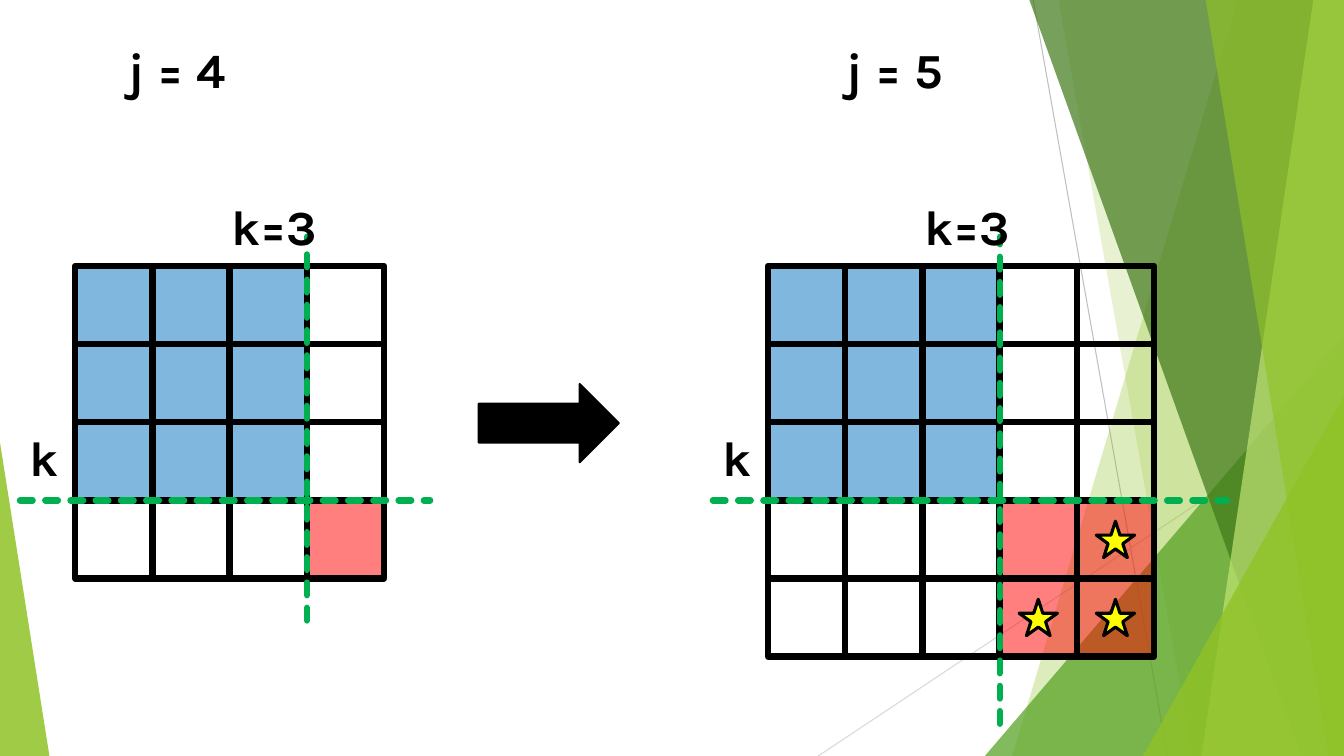
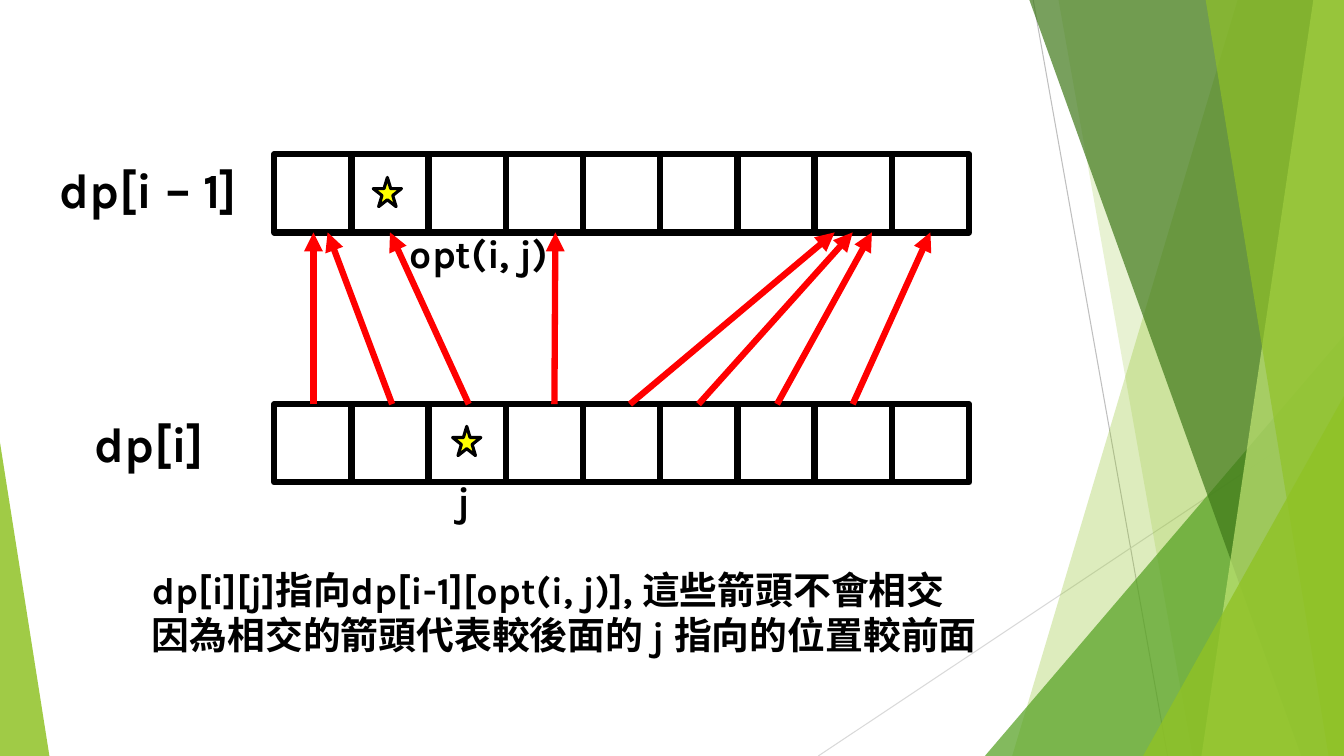
from lxml.etree import SubElement as Sub
from pptx import Presentation
from pptx.dml.color import RGBColor as Rgb
from pptx.enum.dml import MSO_LINE as Dash
from pptx.enum.shapes import MSO_CONNECTOR as Con, MSO_SHAPE as Kind
from pptx.oxml.ns import qn
from pptx.util import Pt

THEME = {
    "font": "Karla", "big": 35, "mid": 28, "note": 27,
    "black": "000000", "blue": "0070C0", "red": "FF0000",
    "green": "00B050", "yellow": "FFFF00",
    "lime": "90C226", "leaf": "54A021", "moss": "3F7819", "pale": "C0E474",
    "gray": "BFBFBF", "mist": "D9D9D9",
    "heavy": 4.5, "edge": 2.25, "thin": 1.5, "hair": 0.75,
}
WIDE, HIGH = 960, 540
CELL_W, CELL_H = 55.15, 55.8

RAYS = [(738, 0, 834, HIGH, "gray"), (WIDE, 290, 584.5, HIGH, "mist")]
BANDS = [
    ("free", (884.2, 723), "lime", 30),
    ("free", (756, 851.8), "lime", 20),
    ("tri", (703.5, 239.8, 256.5, 300.2, 1), "leaf", 72),
    ("free", (735.1, 929.5), "moss", 70),
    ("free", (938.2, 858.2), "pale", 70),
    ("free", (861.1, 949), "lime", 65),
    ("tri", (816.5, 283, 143.5, 257, 1), "lime", 80),
    ("tri", (0, 316.1, 35.3, 223.9, 0), "lime", 85),
]

GRID_TOP, SPLIT = 190, 3
PANELS = [
    {"title": "j = 4", "at": 85, "left": 53.7, "size": 4,
     "over": (33, 30), "stars": []},
    {"title": "j = 5", "at": 597.6, "left": 548.6, "size": 5,
     "over": (52, 48), "stars": [(3, 4), (4, 4), (4, 3)]},
]

ROW_LEFT, ROW_LEN = 195.9, 9
ROW_TOPS = 110.2, 288.7
LINKS = [(223.9, 223.9), (280.1, 234), (334.8, 278.6), (396, 396.7),
         (450, 596.2), (499, 609.1), (555.1, 622.8), (609.1, 664.6)]
MARKS = [(333.4, 315), (276.7, 137.2)]
LABELS = [
    ("dp[i – 1]", 35.3, 110.2, 184, 50, "big"),
    ("dp[i]", 60.5, 291.6, 184, 50, "big"),
    ("j", 319.7, 337, 24, 41, "mid"),
    ("opt(i, j)", 285.8, 160.6, 128, 41, "mid"),
    ("dp[i][j]指向dp[i-1][opt(i, j)], 這些箭頭不會相交\n"
     "因為相交的箭頭代表較後面的 j 指向的位置較前面",
     101.5, 401, 631, 75, "note"),
]


def hue(name):
    return Rgb.from_string(THEME[name])


def apply(obj, vals):
    for key, val in vals.items():
        setattr(obj, key, val)


def paint(shape, fill=None, alpha=100, line=None):
    shape.shadow.inherit = False
    if fill:
        shape.fill.solid()
        shape.fill.fore_color.rgb = hue(fill)
        if alpha < 100:
            tint = shape.element.spPr.find(qn("a:solidFill"))[0]
            Sub(tint, qn("a:alpha"), val=str(alpha * 1000))
    else:
        shape.fill.background()
    if line:
        shape.line.color.rgb = hue("black")
        shape.line.width = Pt(THEME[line])
    else:
        shape.line.fill.background()


def draw(page, kind, x, y, w, h, **look):
    shape = page.shapes.add_shape(kind, Pt(x), Pt(y), Pt(w), Pt(h))
    paint(shape, **look)
    return shape


def star(page, x, y, w, h):
    draw(page, Kind.STAR_5_POINT, x - w / 2, y - h / 2, w, h,
         fill="yellow", line="edge")


def cell(page, x, y, fill=None):
    draw(page, Kind.RECTANGLE, x, y, CELL_W, CELL_H,
         fill=fill, alpha=50, line="heavy")


def rule(page, x1, y1, x2, y2, color, width="heavy", dash=None, head=False):
    line = page.shapes.add_connector(
        Con.STRAIGHT, Pt(x1), Pt(y1), Pt(x2), Pt(y2))
    line.line.color.rgb = hue(color)
    line.line.width = Pt(THEME[width])
    edge = line.get_or_add_ln()
    if dash:
        line.line.dash_style = dash
        edge.set("cap", "rnd")
    if head:
        Sub(edge, qn("a:tailEnd"), type="triangle")
    Sub(line.element.spPr, qn("a:effectLst"))


def label(page, text, x, y, w, h, size="big"):
    frame = page.shapes.add_textbox(Pt(x), Pt(y), Pt(w), Pt(h)).text_frame
    apply(frame, {"word_wrap": True, "text": text})
    for para in frame.paragraphs:
        for run in para.runs:
            apply(run.font, {"name": THEME["font"], "bold": True,
                             "size": Pt(THEME[size])})
            run.font.color.rgb = hue("black")


def backdrop(page, layout):
    for *ends, color in RAYS:
        rule(page, *ends, color, width="hair")
    for kind, spot, color, alpha in BANDS:
        if kind == "tri":
            *box, tip = spot
            shape = draw(page, Kind.ISOSCELES_TRIANGLE, *box,
                         fill=color, alpha=alpha)
            shape.adjustments[0] = tip
        else:
            top, foot = spot
            form = page.shapes.build_freeform(Pt(top), Pt(-0.6))
            form.add_line_segments(
                [(Pt(WIDE), Pt(-0.6)), (Pt(WIDE), Pt(HIGH)),
                 (Pt(foot), Pt(HIGH))], close=True)
            paint(form.convert_to_shape(), fill=color, alpha=alpha)
    tree = layout.element.cSld.spTree
    for hold in list(layout.placeholders):
        tree.remove(hold.element)
    for shape in list(page.shapes):
        tree.append(shape.element)


def shade(row, col):
    if row < SPLIT and col < SPLIT:
        return "blue"
    if row >= SPLIT and col >= SPLIT:
        return "red"
    return None


def panel(page, data):
    left, size = data["left"], data["size"]
    for row in range(size):
        for col in range(size):
            cell(page, left + col * CELL_W, GRID_TOP + row * CELL_H,
                 shade(row, col))
    mid_x, mid_y = left + SPLIT * CELL_W, GRID_TOP + SPLIT * CELL_H
    right = left + size * CELL_W + data["over"][0]
    foot = GRID_TOP + size * CELL_H + data["over"][1]
    rule(page, left - 39.4, mid_y, right, mid_y, "green",
         dash=Dash.SQUARE_DOT)
    rule(page, mid_x, foot, mid_x, 169.2, "green", dash=Dash.SQUARE_DOT)
    for row, col in data["stars"]:
        star(page, left + (col + 0.5) * CELL_W,
             GRID_TOP + (row + 0.5) * CELL_H, 27.4, 26)
    label(page, data["title"], data["at"], 25, 103, 50)
    label(page, "k", left - 39.4, 301.7, 28, 50)
    label(page, "k=3", left + 104.6, 136.8, 130, 50)


def grids(page):
    for data in PANELS:
        panel(page, data)
    draw(page, Kind.RIGHT_ARROW, 342, 274.3, 100, CELL_H,
         fill="black", line="thin")


def rows(page):
    for top in ROW_TOPS:
        for col in range(ROW_LEN):
            cell(page, ROW_LEFT + col * CELL_W, top)
    for start, end in LINKS:
        rule(page, start, ROW_TOPS[1], end, ROW_TOPS[0] + CELL_H,
             "red", head=True)
    for x, y in MARKS:
        star(page, x, y, 20.2, 20.9)
    for item in LABELS:
        label(page, *item)


def main():
    deck = Presentation()
    apply(deck, {"slide_width": Pt(WIDE), "slide_height": Pt(HIGH)})
    blank = deck.slide_layouts[6]
    first = deck.slides.add_slide(blank)
    backdrop(first, blank)
    grids(first)
    rows(deck.slides.add_slide(blank))
    deck.save("out.pptx")


if __name__ == "__main__":
    main()
